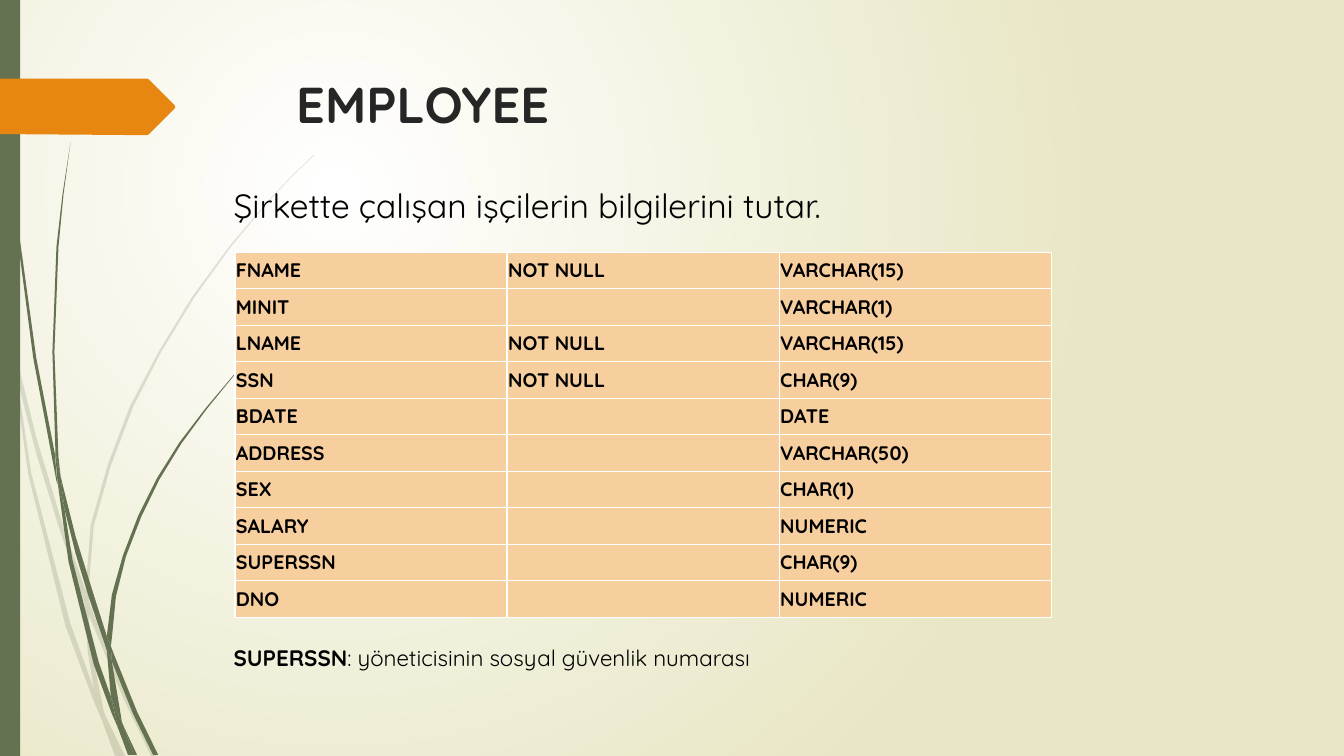
from dataclasses import dataclass

from lxml import etree
from pptx import Presentation
from pptx.dml.color import RGBColor
from pptx.enum.shapes import MSO_SHAPE
from pptx.enum.text import MSO_ANCHOR, MSO_AUTO_SIZE
from pptx.oxml.ns import qn
from pptx.util import Pt

RECTANGLE = MSO_SHAPE.RECTANGLE
TOP, MIDDLE = MSO_ANCHOR.TOP, MSO_ANCHOR.MIDDLE
FIT_SHAPE, NO_FIT = MSO_AUTO_SIZE.SHAPE_TO_FIT_TEXT, MSO_AUTO_SIZE.NONE


@dataclass(frozen=True)
class Theme:
    font: str = "Quicksand"
    glow: str = "FFFFFF"
    sand: str = "E8E6C4"
    green: str = "647252"
    orange: str = "E78712"
    cell: str = "F7CF9E"
    border: str = "FFFFFF"
    heading: str = "262626"
    ink: str = "000000"
    title_size: int = 36
    lead_size: int = 24
    note_size: int = 16
    cell_size: int = 14
    faint_percent: int = 20


@dataclass(frozen=True)
class Box:
    left: float
    top: float
    width: float
    height: float

    @property
    def place(self):
        return Pt(self.left), Pt(self.top), Pt(self.width), Pt(self.height)


THEME = Theme()
PAGE = Box(0, 0, 960, 540)
OUTLINE_UNIT = Pt(0.72)  # outline knots are hundredths of an inch

FAINT_GRASS = [
    [(11, 350), (9, 322), (0, 282), (0, 299), (10, 344)],
    [(58, 522), (84, 599), (85, 586), (62, 520), (36, 434), (14, 345), (17, 376), (36, 450)],
    [(92, 607), (88, 596), (88, 610), (123, 694), (150, 750), (155, 750), (127, 692)],
    [(119, 750), (124, 750), (105, 711)],
    [(93, 683), (70, 619), (31, 469), (17, 376), (11, 350), (28, 470), (65, 621),
     (92, 693), (101, 714), (99, 707)],
    [(84, 599), (87, 646), (93, 683), (96, 692), (105, 711), (103, 706), (91, 646),
     (88, 610), (88, 608)],
    [(88, 584), (93, 522), (110, 462), (132, 404), (160, 349), (193, 295), (229, 245),
     (268, 198), (290, 175), (312, 154), (312, 153), (289, 175), (268, 197), (228, 244),
     (191, 294), (158, 348), (129, 403), (107, 461), (90, 521), (85, 584), (85, 586), (88, 596)],
    [(101, 714), (114, 750), (119, 750)],
    [(88, 608), (88, 610), (88, 596), (85, 586), (84, 599)],
    [(96, 692), (93, 683), (99, 707), (101, 714), (119, 750), (105, 711)],
]
GRASS = [
    [(7, 110), (17, 233), (33, 355), (56, 477), (57, 481), (55, 457), (55, 453), (36, 355),
     (19, 232), (8, 109), (5, 48), (4, 0), (3, 0), (4, 48)],
    [(88, 592), (106, 645), (106, 631), (93, 590), (75, 532), (60, 472), (64, 505), (75, 549)],
    [(113, 649), (110, 641), (111, 656), (132, 708), (152, 749), (157, 749), (136, 706)],
    [(110, 691), (98, 657), (72, 556), (64, 505), (57, 477), (68, 557), (93, 659),
     (111, 708), (117, 722), (116, 717)],
    [(60, 472), (58, 453), (54, 349), (58, 245), (63, 193), (70, 141), (62, 193),
     (56, 245), (52, 349), (55, 449)],
    [(133, 749), (136, 749), (122, 719)],
    [(57, 477), (64, 505), (60, 472), (55, 449), (55, 453)],
    [(111, 633), (115, 592), (125, 552), (140, 513), (158, 476), (180, 440), (205, 406),
     (231, 374), (245, 359), (261, 344), (260, 344), (245, 358), (231, 373), (204, 405),
     (178, 439), (156, 474), (137, 512), (122, 551), (111, 590), (106, 631), (110, 641)],
    [(117, 722), (127, 749), (131, 749)],
    [(106, 645), (110, 691), (116, 706), (122, 719), (121, 716), (111, 656), (109, 651)],
    [(106, 645), (109, 651), (111, 656), (110, 641), (106, 631)],
    [(116, 706), (110, 691), (116, 717), (117, 722), (130, 749), (133, 749), (122, 719)],
]
TAG_OUTLINE = [(0, 0), (146, 0), (148, 1), (173, 26), (174, 28), (173, 30), (148, 55),
               (146, 56), (136, 56), (0, 55)]

REQUIRED = "NOT NULL"
EMPLOYEE_COLUMNS = [
    ("FNAME", REQUIRED, "VARCHAR(15)"),
    ("MINIT", "", "VARCHAR(1)"),
    ("LNAME", REQUIRED, "VARCHAR(15)"),
    ("SSN", REQUIRED, "CHAR(9)"),
    ("BDATE", "", "DATE"),
    ("ADDRESS", "", "VARCHAR(50)"),
    ("SEX", "", "CHAR(1)"),
    ("SALARY", "", "NUMERIC"),
    ("SUPERSSN", "", "CHAR(9)"),
    ("DNO", "", "NUMERIC"),
]


def color(code):
    return RGBColor.from_string(code)


def write(frame, *spans, size, ink=THEME.ink, bold=False, anchor=TOP, wrap=True, fit=NO_FIT):
    """Fill a text frame or cell paragraph; a span is text or a (text, bold) pair."""
    frame.word_wrap, frame.auto_size, frame.vertical_anchor = wrap, fit, anchor
    write_spans(frame.paragraphs[0], *spans, size=size, ink=ink, bold=bold)


def write_spans(para, *spans, size, ink=THEME.ink, bold=False):
    para.font.size = Pt(size)
    for item in spans:
        text, weight = item if isinstance(item, tuple) else (item, bold)
        span = para.add_run()
        span.text = text
        span.font.name, span.font.size, span.font.bold = THEME.font, Pt(size), weight
        span.font.color.rgb = color(ink)


def paint(shape, code, opacity=100):
    shape.shadow.inherit = False
    shape.fill.solid()
    shape.fill.fore_color.rgb = color(code)
    shape.line.fill.background()
    if opacity < 100:
        fill_color = shape.fill._xPr.find(".//" + qn("a:srgbClr"))
        etree.SubElement(fill_color, qn("a:alpha"), val=str(opacity * 1000))


def draw_outline(shapes, box, knots, code, opacity=100):
    builder = shapes.build_freeform(*knots[0], scale=OUTLINE_UNIT)
    builder.add_line_segments(knots[1:], close=True)
    paint(builder.convert_to_shape(Pt(box.left), Pt(box.top)), code, opacity)


def draw_background(page):
    """Circular glow centred a quarter of the way in from the top left."""
    fill = page.background.fill
    fill.gradient()
    for stop, code, position in zip(fill.gradient_stops, (THEME.glow, THEME.sand), (0, 1)):
        stop.color.rgb, stop.position = color(code), position
    gradient = page.element.find(".//" + qn("a:gradFill"))
    gradient.remove(gradient.find(qn("a:lin")))
    circle = etree.SubElement(gradient, qn("a:path"), path="circle")
    etree.SubElement(circle, qn("a:fillToRect"), l="50000", t="50000", r="100000", b="100000")


def draw_grass(page, box):
    for blades, opacity in ((FAINT_GRASS, THEME.faint_percent), (GRASS, 100)):
        group = page.shapes.add_group_shape()
        for blade in blades:
            draw_outline(group.shapes, box, blade, THEME.green, opacity)


def draw_side_bar(page, box):
    paint(page.shapes.add_shape(RECTANGLE, *box.place), THEME.green)


def draw_text(page, box, *spans, **style):
    write(page.shapes.add_textbox(*box.place).text_frame, *spans, **style)


def style_cell(cell):
    cell.margin_left = cell.margin_right = cell.margin_top = cell.margin_bottom = Pt(0.72)
    cell.vertical_anchor = MIDDLE
    properties = cell._tc.get_or_add_tcPr()
    for side in ("lnL", "lnR", "lnT", "lnB"):
        line = etree.SubElement(properties, qn("a:" + side), w=str(Pt(1)))
        fill = etree.SubElement(line, qn("a:solidFill"))
        etree.SubElement(fill, qn("a:srgbClr"), val=THEME.border)
    cell.fill.solid()
    cell.fill.fore_color.rgb = color(THEME.cell)


def draw_table(page, box, records):
    count, width = len(records), len(records[0])
    table = page.shapes.add_table(count, width, *box.place).table
    table.first_row = table.horz_banding = False
    for column in table.columns:
        column.width = Pt(box.width / width)
    for row, record in zip(table.rows, records):
        row.height = Pt(box.height / count)
        for cell, text in zip(row.cells, record):
            style_cell(cell)
            spans = [text] if text else []
            write_spans(cell.text_frame.paragraphs[0], *spans, size=THEME.cell_size, bold=True)


def build_employee_page(page):
    draw_background(page)
    draw_grass(page, PAGE)
    draw_side_bar(page, Box(0, 0, 14.4, PAGE.height))
    draw_outline(page.shapes, Box(0, 56.2, 125.3, 40), TAG_OUTLINE, THEME.orange)
    draw_text(page, Box(204.5, 49, 702, 100.8), "EMPLOYEE",
              size=THEME.title_size, ink=THEME.heading, bold=True)
    draw_table(page, Box(167.8, 180.2, 583.2, 260.8), EMPLOYEE_COLUMNS)
    draw_text(page, Box(159.8, 128.9, 456.5, 36), "Şirkette çalışan işçilerin bilgilerini tutar.",
              size=THEME.lead_size, wrap=False, fit=FIT_SHAPE)
    draw_text(page, Box(159.8, 456.5, 590.4, 26.6), ("SUPERSSN", True),
              ": yöneticisinin sosyal güvenlik numarası", size=THEME.note_size, fit=FIT_SHAPE)


def main():
    deck = Presentation()
    deck.slide_width, deck.slide_height = Pt(PAGE.width), Pt(PAGE.height)
    build_employee_page(deck.slides.add_slide(deck.slide_layouts[6]))
    deck.save("out.pptx")


if __name__ == "__main__":
    main()
